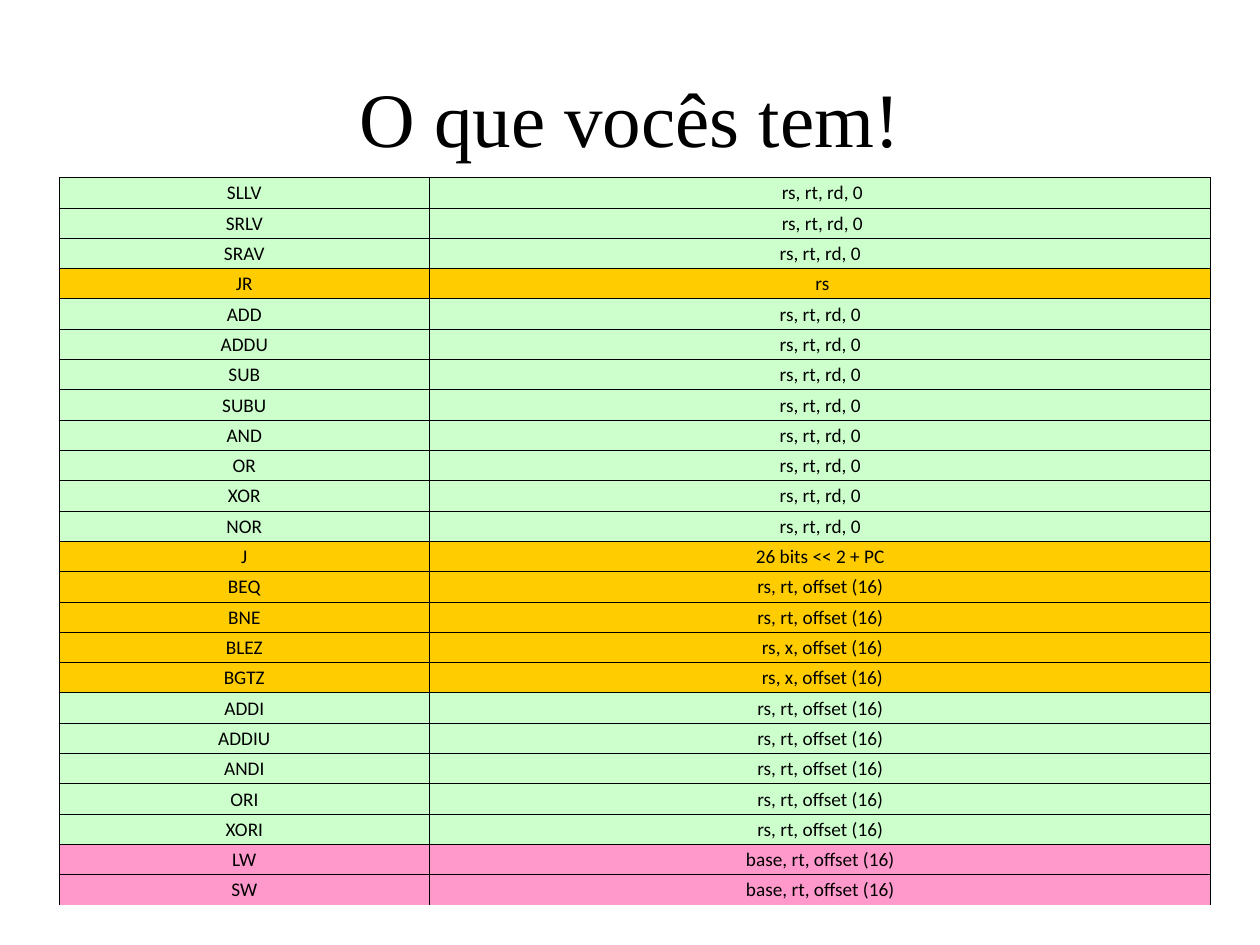
import pptx
import pptx.dml.color
import pptx.enum.text
import pptx.oxml
import pptx.oxml.ns
import pptx.util

Cm = pptx.util.Cm
Pt = pptx.util.Pt

COLOURS = {
    "text": "000000",
    "border": "000000",
    "arithmetic": "CCFFCC",
    "jump": "FFCC00",
    "memory": "FF99CC",
}
SHIFT = " rs, rt, rd, 0"
REGISTERS = "rs, rt, rd, 0"
IMMEDIATE = "rs, rt, offset (16)"
COMPARE_ZERO = " rs, x, offset (16)"
BASE = "base, rt, offset (16)"
GROUPS = [
    ("arithmetic", SHIFT, ["SLLV", "SRLV"]),
    ("arithmetic", REGISTERS, ["SRAV"]),
    ("jump", " rs", ["JR"]),
    ("arithmetic", REGISTERS,
     ["ADD", "ADDU", "SUB", "SUBU", "AND", "OR", "XOR", "NOR"]),
    ("jump", "26 bits << 2 + PC", ["J"]),
    ("jump", IMMEDIATE, ["BEQ", "BNE"]),
    ("jump", COMPARE_ZERO, ["BLEZ", "BGTZ"]),
    ("arithmetic", IMMEDIATE, ["ADDI", "ADDIU", "ANDI", "ORI", "XORI"]),
    ("memory", BASE, ["LW", "SW"]),
]


def colour(name):
    """Return the named colour as an RGBColor."""
    return pptx.dml.color.RGBColor.from_string(COLOURS[name])


def format_text(text_frame, font_name, size):
    """Centre the text and set the font of its runs."""
    for para in text_frame.paragraphs:
        para.alignment = pptx.enum.text.PP_ALIGN.CENTER
        for span in para.runs:
            span.font.name = font_name
            span.font.size = Pt(size)
            span.font.color.rgb = colour("text")


def set_borders(cell, has_bottom):
    """Draw thin lines round a cell, with the bottom one optional."""
    properties = cell._tc.get_or_add_tcPr()
    namespace = pptx.oxml.ns.nsdecls("a")
    solid = f'<a:solidFill><a:srgbClr val="{COLOURS["border"]}"/></a:solidFill>'
    for position, side in enumerate("LRTB"):
        paint = solid if side != "B" or has_bottom else "<a:noFill/>"
        line = f'<a:ln{side} {namespace} w="{Pt(0.5)}">{paint}</a:ln{side}>'
        properties.insert(position, pptx.oxml.parse_xml(line))


def fill_cell(cell, text, fill, has_bottom):
    """Write and format one table cell."""
    cell.text_frame.text = text
    format_text(cell.text_frame, "Calibri", 11)
    cell.vertical_anchor = pptx.enum.text.MSO_ANCHOR.MIDDLE
    cell.margin_left = cell.margin_right = cell.margin_top = Cm(0.02)
    cell.margin_bottom = 0
    cell.fill.solid()
    cell.fill.fore_color.rgb = colour(fill)
    set_borders(cell, has_bottom)


def place_title(page, left, top, width, height):
    """Place the slide title in the given box."""
    box = page.shapes.title
    box.left, box.top, box.width, box.height = left, top, width, height
    box.text_frame.text = "O que vocês tem!"
    box.text_frame.vertical_anchor = pptx.enum.text.MSO_ANCHOR.MIDDLE
    format_text(box.text_frame, "Times New Roman", 44)


def place_instructions(page, left, top, width, height):
    """Place the table of instructions and operands in the given box."""
    rows = [(name, operands, kind)
            for kind, operands, names in GROUPS for name in names]
    table = page.shapes.add_table(len(rows), 2, left, top, width, height).table
    table.first_row = table.horz_banding = False
    table.columns[0].width = Cm(7.47)
    table.columns[1].width = width - Cm(7.47)
    for index, (name, operands, kind) in enumerate(rows):
        table.rows[index].height = height // len(rows)
        for column, text in enumerate((name, operands)):
            fill_cell(table.cell(index, column), text, kind,
                      index < len(rows) - 1)


def main():
    """Build the deck and save it."""
    deck = pptx.Presentation()
    deck.slide_width, deck.slide_height = Cm(25.4), Cm(19.05)
    page = deck.slides.add_slide(deck.slide_layouts[5])
    place_title(page, Cm(1.27), Cm(0.76), Cm(22.86), Cm(3.18))
    place_instructions(page, Cm(1.19), Cm(3.58), Cm(23.22), Cm(14.68))
    deck.save("out.pptx")


if __name__ == "__main__":
    main()
